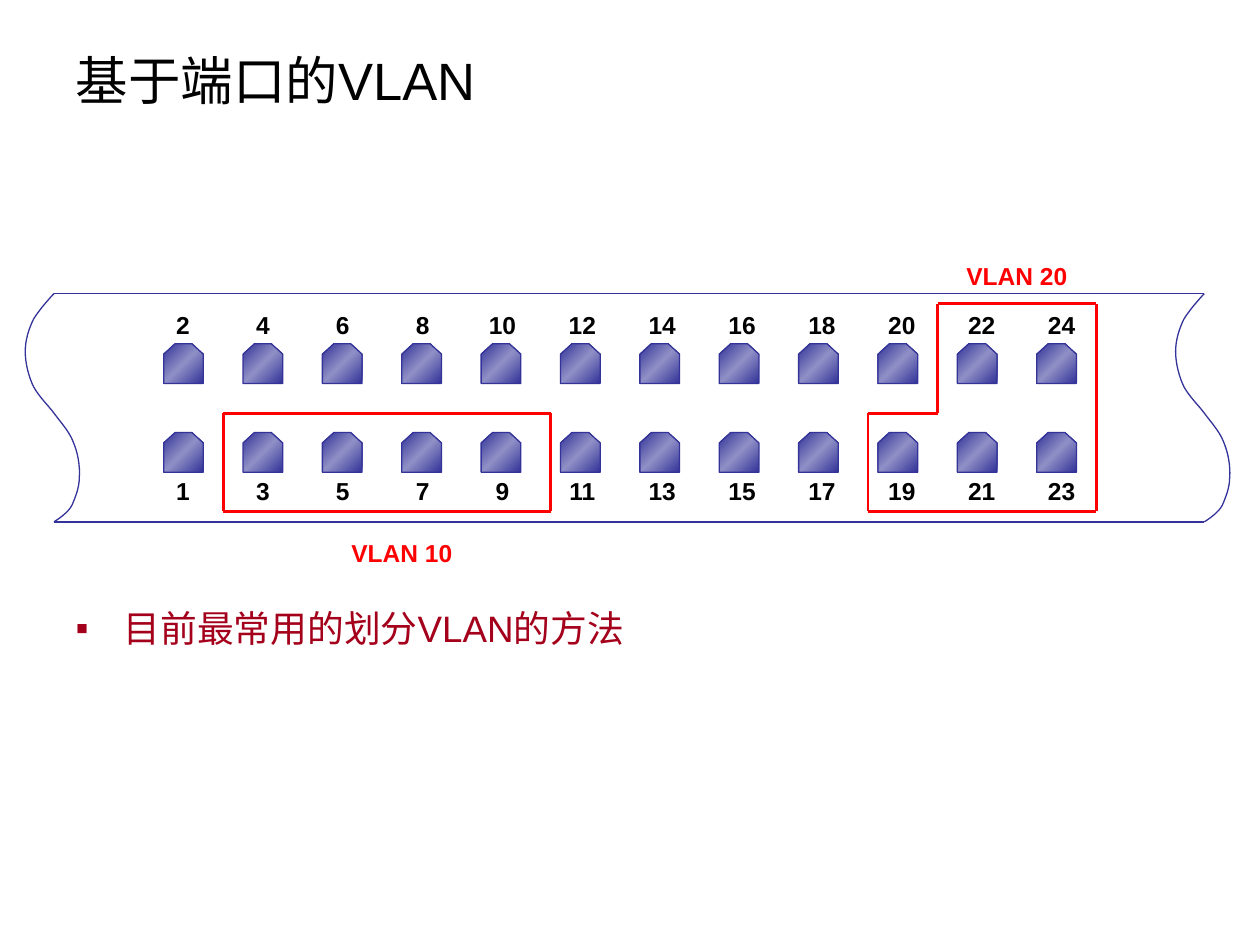
"""Build a slide showing port-based VLAN membership on a 24-port switch."""
from copy import deepcopy

from lxml.etree import SubElement
from pptx import Presentation
from pptx.dml.color import RGBColor
from pptx.enum.shapes import MSO_CONNECTOR
from pptx.enum.text import MSO_ANCHOR, MSO_AUTO_SIZE, PP_ALIGN
from pptx.oxml.ns import qn
from pptx.util import Cm, Pt

BLACK = RGBColor(0x00, 0x00, 0x00)
RED = RGBColor(0xFF, 0x00, 0x00)
CRIMSON = RGBColor(0xA4, 0x00, 0x1B)
NAVY = RGBColor(0x33, 0x33, 0x99)
LAVENDER = RGBColor(0x90, 0x90, 0xC7)

PORT_COLUMNS = 12
PORT_LEFT, PORT_PITCH = 3.3, 1.6
PORT_OUTLINE = [(0.23, 0), (0, 0.21), (0, 0.8), (0.8, 0.8), (0.8, 0.21), (0.57, 0)]
SWITCH_LEFT, SWITCH_RIGHT = 1.09, 24.28
SWITCH_TOP, SWITCH_BOTTOM = 5.92, 10.52
TORN_EDGE = [
    (0, 0), (-0.08, 0.08), (-0.3, 0.33), (-0.41, 0.51),
    (-0.51, 0.71), (-0.58, 0.94), (-0.58, 1.17),
    (-0.58, 1.4), (-0.51, 1.68), (-0.41, 1.88),
    (-0.3, 2.08), (-0.13, 2.24), (0, 2.41),
    (0.13, 2.59), (0.3, 2.77), (0.38, 2.97),
    (0.48, 3.2), (0.53, 3.48), (0.51, 3.71),
    (0.51, 3.91), (0.43, 4.11), (0.36, 4.27),
    (0.28, 4.42), (0.08, 4.55), (0, 4.6),
]
VLAN_10_CORNERS = [(4.5, 8.33), (11.1, 8.33), (11.1, 10.31), (4.5, 10.31)]
VLAN_20_CORNERS = [(17.5, 8.33), (18.9, 8.33), (18.9, 6.12),
                   (22.1, 6.12), (22.1, 10.31), (17.5, 10.31)]


def write_text(shape, text, size=14, color=BLACK, bold=False,
               align=PP_ALIGN.LEFT, anchor=MSO_ANCHOR.TOP, bullet=None, tabs=()):
    """Write one formatted paragraph into a shape."""
    frame = shape.text_frame
    frame.word_wrap = True
    frame.auto_size = MSO_AUTO_SIZE.NONE
    frame.vertical_anchor = anchor
    paragraph = frame.paragraphs[0]
    paragraph.alignment = align
    paragraph.space_before = Pt(0)
    properties = paragraph._p.get_or_add_pPr()
    if bullet:
        properties.set("marL", str(Cm(0.97)))
        properties.set("indent", str(-Cm(0.97)))
        bullet_color = SubElement(properties, qn("a:buClr"))
        SubElement(bullet_color, qn("a:srgbClr"), val=str(color))
        SubElement(properties, qn("a:buChar"), char=bullet)
    if tabs:
        tab_list = SubElement(properties, qn("a:tabLst"))
        for position in tabs:
            SubElement(tab_list, qn("a:tab"), pos=str(Cm(position)), algn="ctr")
    run = paragraph.add_run()
    run.text = text
    run.font.name = "Arial"
    run.font.size = Pt(size)
    run.font.bold = bold
    run.font.color.rgb = color


def bezier_points(controls, steps=8):
    """Return points along a chain of cubic curves."""
    points = [controls[0]]
    for first in range(0, len(controls) - 1, 3):
        start, pull_out, pull_in, end = controls[first:first + 4]
        for step in range(1, steps + 1):
            t = step / steps
            u = 1 - t
            points.append(tuple(
                u ** 3 * a + 3 * u * u * t * b + 3 * u * t * t * c + t ** 3 * d
                for a, b, c, d in zip(start, pull_out, pull_in, end)))
    return points


class SlideBuilder:
    """Hold the line style and the slide being built."""

    def __init__(self, slide, line_color=NAVY, line_width=0.75):
        """Keep the slide and its default line style."""
        self.slide = slide
        self.line_color = line_color
        self.line_width = line_width

    def placeholder(self, index, left, top, width, height, text, **style):
        """Move a template placeholder and fill it."""
        shape = self.slide.placeholders[index]
        shape.left, shape.top = Cm(left), Cm(top)
        shape.width, shape.height = Cm(width), Cm(height)
        write_text(shape, text, **style)

    def label(self, left, top, width, text, **style):
        """Add a bold text box."""
        shape = self.slide.shapes.add_textbox(Cm(left), Cm(top), Cm(width), Cm(0.86))
        write_text(shape, text, bold=True, **style)

    def outline(self, left, top, points, close):
        """Add a freeform from offsets around a corner."""
        points = [(Cm(left + x), Cm(top + y)) for x, y in points]
        builder = self.slide.shapes.build_freeform(*points[0])
        builder.add_line_segments(points[1:], close=close)
        shape = builder.convert_to_shape()
        shape.shadow.inherit = False
        shape.fill.background()
        shape.line.color.rgb = self.line_color
        shape.line.width = Pt(self.line_width)
        return shape

    def port(self, left, top):
        """Add a switch port with a diagonal sheen."""
        fill = self.outline(left, top, PORT_OUTLINE, close=True).fill
        fill.gradient()
        fill.gradient_angle = 135
        stop_list = fill.gradient_stops[0]._gs.getparent()
        stop_list.append(deepcopy(stop_list[0]))
        for stop, position, color in zip(
                fill.gradient_stops, (0, 0.5, 1), (NAVY, LAVENDER, NAVY)):
            stop.position = position
            stop.color.rgb = color

    def line(self, start, end, color=None, width=None):
        """Add a straight line between two points."""
        connector = self.slide.shapes.add_connector(
            MSO_CONNECTOR.STRAIGHT, *(Cm(value) for value in (*start, *end)))
        connector.line.color.rgb = color or self.line_color
        connector.line.width = Pt(width or self.line_width)
        SubElement(connector._element.spPr, qn("a:effectLst"))

    def loop(self, corners):
        """Draw a red border through the corners."""
        for start, end in zip(corners, corners[1:] + corners[:1]):
            self.line(start, end, RED, 1.5)


def main():
    """Build and save the presentation."""
    presentation = Presentation()
    presentation.slide_width, presentation.slide_height = Cm(25.4), Cm(19.05)
    slide = presentation.slides.add_slide(presentation.slide_layouts[1])
    builder = SlideBuilder(slide)

    builder.placeholder(0, 1.27, 0.53, 20.83, 2.16, "基于端口的VLAN",
                        size=30, anchor=MSO_ANCHOR.MIDDLE)
    builder.placeholder(1, 1.27, 11.9, 23.04, 1.5, "目前最常用的划分VLAN的方法",
                        size=21, color=CRIMSON, anchor=MSO_ANCHOR.MIDDLE, bullet="▪")

    number_tabs = [0.14 + 1.61 * column for column in range(1, PORT_COLUMNS)]
    for first_number, port_top, label_top in ((2, 6.93, 6.12), (1, 8.72, 9.47)):
        for column in range(PORT_COLUMNS):
            builder.port(PORT_LEFT + PORT_PITCH * column, port_top)
        numbers = range(first_number, 2 * PORT_COLUMNS + 1, 2)
        builder.label(PORT_LEFT, label_top, 18.8, "\t".join(map(str, numbers)),
                      tabs=number_tabs)

    edge = bezier_points(TORN_EDGE)
    for left in (SWITCH_LEFT, SWITCH_RIGHT):
        builder.outline(left, SWITCH_TOP, edge, close=False)
    for top in (SWITCH_TOP, SWITCH_BOTTOM):
        builder.line((SWITCH_LEFT, top), (SWITCH_RIGHT, top))

    for text, left, top, corners in (("VLAN 10", 6.7, 10.72, VLAN_10_CORNERS),
                                     ("VLAN 20", 19.1, 5.13, VLAN_20_CORNERS)):
        builder.label(left, top, 2.8, text, color=RED, align=PP_ALIGN.CENTER)
        builder.loop(corners)

    presentation.save("out.pptx")


if __name__ == "__main__":
    main()
